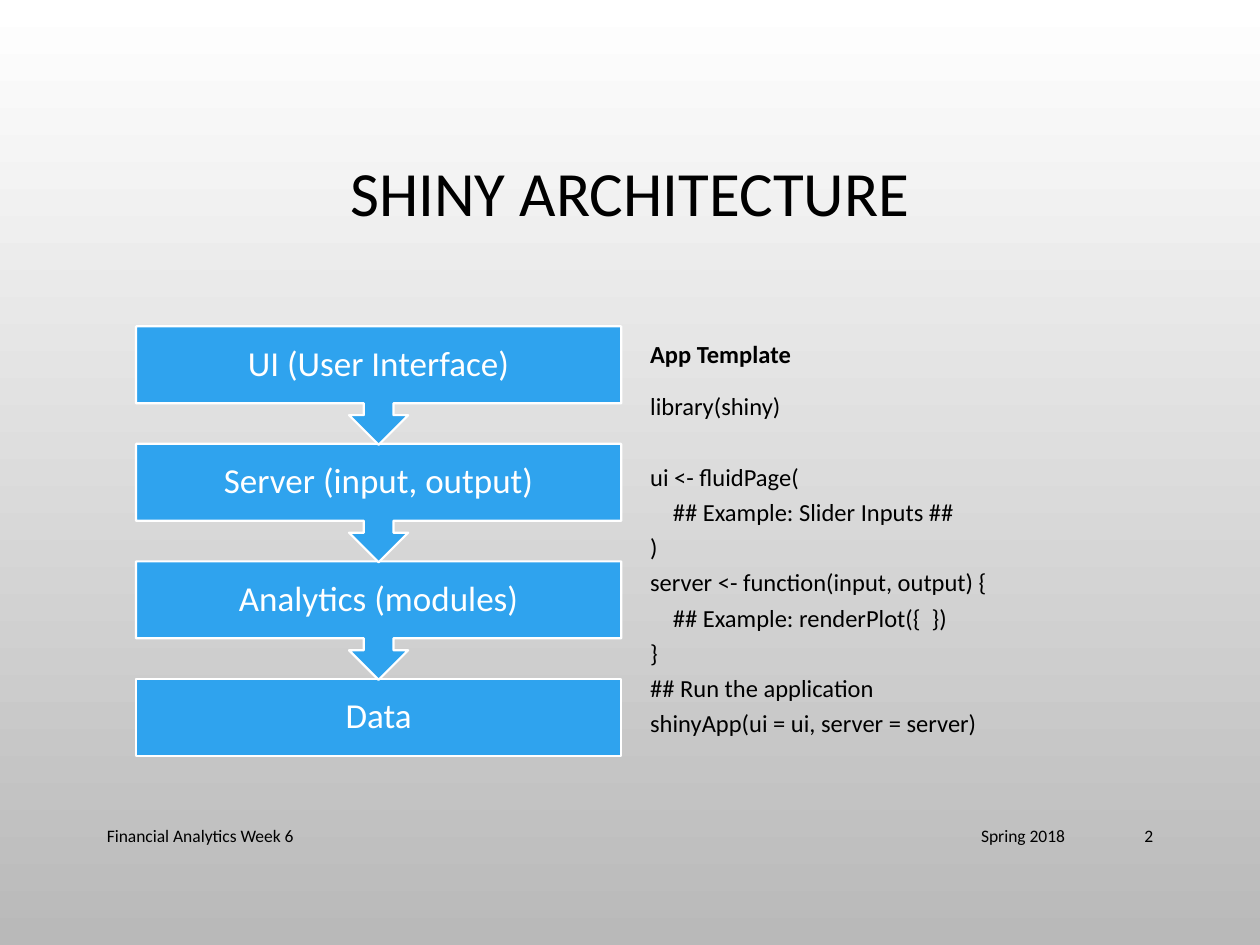
"""Build the Shiny architecture slide: a four-step flow beside an app template."""
from pptx import Presentation
from pptx.dml.color import RGBColor
from pptx.enum.shapes import MSO_SHAPE
from pptx.enum.text import MSO_ANCHOR, MSO_AUTO_SIZE, PP_ALIGN
from pptx.util import Inches, Pt

RECT, CALLOUT = MSO_SHAPE.RECTANGLE, MSO_SHAPE.DOWN_ARROW_CALLOUT
LEFT, CENTER, RIGHT = PP_ALIGN.LEFT, PP_ALIGN.CENTER, PP_ALIGN.RIGHT
TOP, MIDDLE = MSO_ANCHOR.TOP, MSO_ANCHOR.MIDDLE
NO_FIT = MSO_AUTO_SIZE.NONE


def rgb(value):
    return RGBColor.from_string(value)


def write(p, text, size=14, color="000000", bold=False, align=LEFT, spacing=1.0, before=0):
    p.alignment, p.line_spacing, p.space_before = align, spacing, Pt(before)
    r = p.add_run()
    r.text = text
    r.font.name, r.font.size, r.font.bold = "Calibri", Pt(size), bold
    r.font.color.rgb = rgb(color)


prs = Presentation()
prs.slide_width, prs.slide_height = Inches(10), Inches(7.5)
s = prs.slides.add_slide(prs.slide_layouts[1])
fill = s.background.fill
fill.gradient()
fill.gradient_angle = 270
for stop, color in zip(fill.gradient_stops, ("FFFFFF", "B9B9B9")):
    stop.color.rgb = rgb(color)

title, body = s.placeholders
frames = ((title, 0.75, 0.68, 8.5, 1.75, MIDDLE), (body, 5.06, 2.59, 4.19, 3.74, TOP))
for sp, x, y, w, h, anchor in frames:
    sp.left, sp.top, sp.width, sp.height = (Inches(v) for v in (x, y, w, h))
    tf = sp.text_frame
    tf.word_wrap, tf.auto_size, tf.vertical_anchor = True, NO_FIT, anchor
write(title.text_frame.paragraphs[0], "SHINY ARCHITECTURE", size=36, align=CENTER, spacing=0.9)

steps = ["UI (User Interface)", "Server (input, output)", "Analytics (modules)", "Data"]
flow_top, pitch, box_h, callout_h = 2.59, 0.933, 0.61, 0.94
for i, step in reversed(list(enumerate(steps))):
    last = i == len(steps) - 1
    sp = s.shapes.add_shape(RECT if last else CALLOUT, Inches(1.08), Inches(flow_top + i * pitch),
                            Inches(3.85), Inches(box_h if last else callout_h))
    sp.shadow.inherit = False
    sp.fill.solid()
    sp.fill.fore_color.rgb = rgb("2FA3EE")
    sp.line.color.rgb = rgb("FFFFFF")
    sp.line.width = Pt(1.25)
    tf = sp.text_frame
    tf.word_wrap, tf.vertical_anchor = True, MIDDLE
    tf.margin_left = tf.margin_right = tf.margin_top = tf.margin_bottom = Inches(0.16)
    write(tf.paragraphs[0], step, size=20, color="FFFFFF", align=CENTER, spacing=0.9)

code = [
    ("App Template", 0, 10),
    ("library(shiny)", 0, 10),
    ("ui <- fluidPage(", 0, 20),
    ("## Example: Slider Inputs ##", 0.18, 0),
    (")", 0, 0),
    ("server <- function(input, output) {", 0, 0),
    ("## Example: renderPlot({  })", 0.18, 0),
    ("}", 0, 0),
    ("## Run the application", 0, 0),
    ("shinyApp(ui = ui, server = server)", 0, 0),
]
tf = body.text_frame
for i, (line, indent, before) in enumerate(code):
    p = tf.add_paragraph() if i else tf.paragraphs[0]
    write(p, line, bold=i == 0, spacing=1.2, before=before)
    pPr = p._p.get_or_add_pPr()
    pPr.set("marL", str(Inches(indent)))
    pPr.set("indent", "0")
    pPr.append(pPr.makeelement("{http://schemas.openxmlformats.org/drawingml/2006/main}buNone", {}))

footers = [("Spring 2018", 6.3, 2.25, RIGHT), ("Financial Analytics Week 6", 0.75, 5.47, LEFT),
           ("2", 8.62, 0.63, RIGHT)]
for text, x, w, align in footers:
    tf = s.shapes.add_textbox(Inches(x), Inches(6.43), Inches(w), Inches(0.4)).text_frame
    tf.word_wrap, tf.vertical_anchor = True, MIDDLE
    write(tf.paragraphs[0], text, size=10, align=align)

prs.save("out.pptx")
